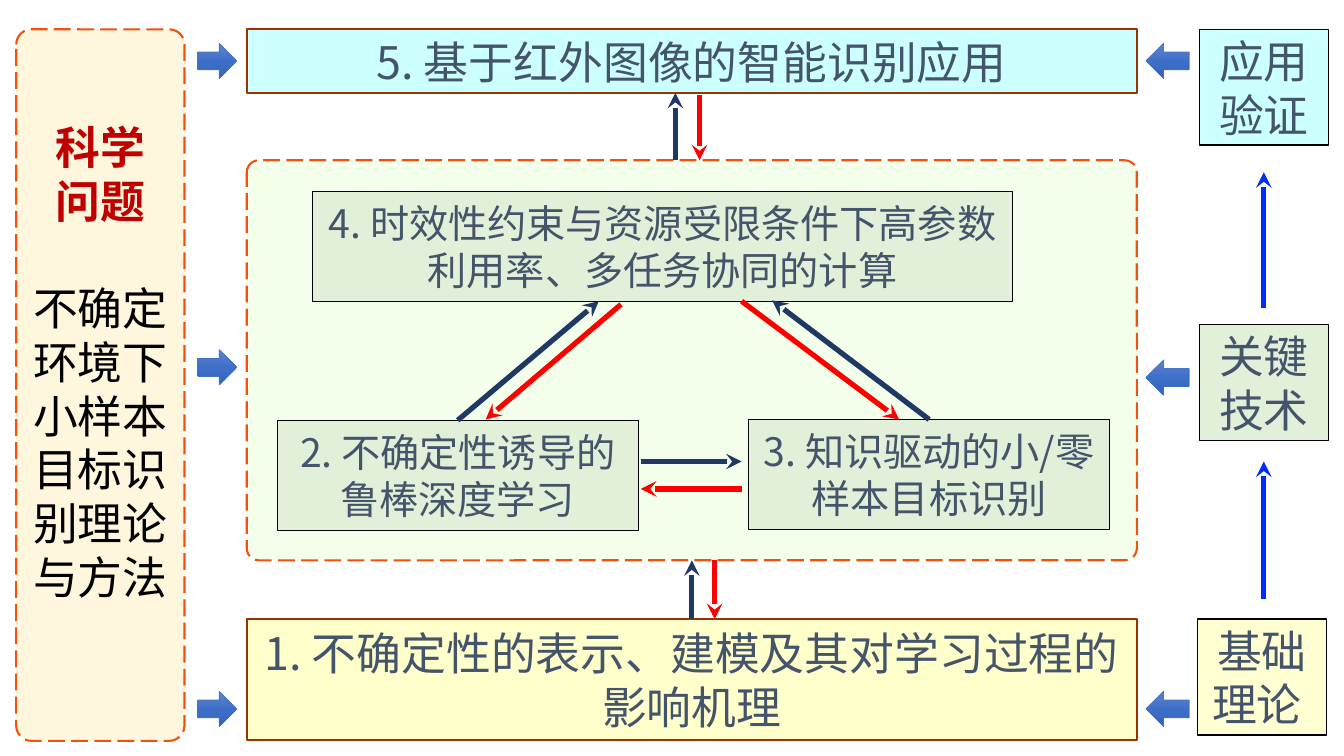
from copy import deepcopy
from dataclasses import dataclass

from lxml.etree import SubElement
from pptx import Presentation
from pptx.dml.color import RGBColor
from pptx.enum.dml import MSO_LINE
from pptx.enum.shapes import MSO_CONNECTOR, MSO_SHAPE
from pptx.enum.text import MSO_ANCHOR, PP_ALIGN
from pptx.oxml.ns import qn
from pptx.util import Cm, Pt


@dataclass(frozen=True)
class Theme:
    font: str = "Noto Sans CJK SC"
    large: int = 32
    medium: int = 28
    text: str = "44546A"
    heading: str = "C00000"
    black: str = "000000"
    brown: str = "993300"
    orange: str = "F1500F"
    cream: str = "FFF7DD"
    mint: str = "F4FFEB"
    green: str = "E2F0D9"
    cyan: str = "CCFFFF"
    yellow: str = "FFFFCC"
    pale_yellow: str = "FFFFD1"
    navy: str = "203864"
    red: str = "FF0000"
    blue: str = "002BFF"
    block_line: str = "4472C4"
    block_stops: tuple = ("6183CB", "3E70CA", "3062BB")


theme = Theme()
deck = Presentation()
deck.slide_width, deck.slide_height = Cm(33.87), Cm(19.05)
page = deck.slides.add_slide(deck.slide_layouts[6])


def add_box(place, fill, line, width, lines=(), size=theme.large, color=theme.text,
            kind=MSO_SHAPE.RECTANGLE, inset=0.25):
    """Add a filled box; each entry of lines becomes a centred paragraph."""
    box = page.shapes.add_shape(kind, *map(Cm, place))
    box.shadow.inherit = False
    box.fill.solid()
    box.fill.fore_color.rgb = RGBColor.from_string(fill)
    box.line.color.rgb = RGBColor.from_string(line)
    box.line.width = Pt(width)
    frame = box.text_frame
    frame.word_wrap = True
    frame.vertical_anchor = MSO_ANCHOR.MIDDLE
    frame.margin_left = frame.margin_right = Cm(inset)
    frame.margin_top = frame.margin_bottom = Cm(0.13)
    for number, line_text in enumerate(lines):
        para = frame.paragraphs[0] if number == 0 else frame.add_paragraph()
        para.text = line_text
        para.alignment = PP_ALIGN.CENTER
        para.font.name = theme.font
        para.font.size = Pt(size)
        para.font.color.rgb = RGBColor.from_string(color)
        properties = para._p.pPr.find(qn("a:defRPr"))
        SubElement(properties, qn("a:ea"), typeface=theme.font)
    return box


def add_arrow(start, end, color):
    arrow = page.shapes.add_connector(MSO_CONNECTOR.STRAIGHT, *map(Cm, start + end))
    arrow.line.color.rgb = RGBColor.from_string(color)
    arrow.line.width = Pt(3.75)
    SubElement(arrow.line._get_or_add_ln(), qn("a:tailEnd"), type="stealth")
    SubElement(arrow._element.spPr, qn("a:effectLst"))
    return arrow


# Dashed panels: technology stage and scientific problem
stage = add_box((6.22, 4.04, 22.43, 10.08), theme.mint, theme.orange, 1.5,
                kind=MSO_SHAPE.ROUNDED_RECTANGLE)
problem = add_box((0.41, 0.74, 4.24, 17.93), theme.cream, theme.orange, 1.5,
                  ("科学", "问题", "不确定环境下小样本目标识别理论与方法"),
                  color=theme.black, kind=MSO_SHAPE.ROUNDED_RECTANGLE)
for panel, rounding in ((stage, 0.03), (problem, 0.09)):
    panel.adjustments[0] = rounding
    panel.line.dash_style = MSO_LINE.LONG_DASH
problem.text_frame.margin_bottom = Cm(1.32)
*heading, statement = problem.text_frame.paragraphs
for para in heading:
    para.font.bold = True
    para.font.color.rgb = RGBColor.from_string(theme.heading)
statement.space_before = Pt(38.4)

# Full-width bands and the three technology boxes
foundation = add_box((6.22, 15.6, 22.43, 3.05), theme.yellow, theme.brown, 1.5,
                     ("1. 不确定性的表示、建模及其对学习过程的影响机理",))
add_box((6.22, 0.74, 22.43, 1.6), theme.cyan, theme.brown, 1.5,
        ("5. 基于红外图像的智能识别应用",))
technologies = []
for place, caption in (
    ((6.99, 10.59, 9.09, 2.77), "2. 不确定性诱导的鲁棒深度学习"),
    ((18.87, 10.57, 9.09, 2.77), "3. 知识驱动的小/零样本目标识别"),
    ((7.87, 4.83, 17.65, 2.77), "4. 时效性约束与资源受限条件下高参数利用率、多任务协同的计算"),
):
    technologies.append(add_box(place, theme.green, theme.black, 0.5, (caption,),
                                theme.medium, inset=0.13))
robust_learning, recognition, computing = technologies

# Level labels on the right
for left, top, fill, caption in (
    (30.23, 0.74, theme.cyan, "应用验证"),
    (30.23, 8.18, theme.green, "关键技术"),
    (30.18, 15.6, theme.pale_yellow, "基础理论 "),
):
    add_box((left, top, 3.25, 2.92), fill, theme.black, 1, (caption,))

# Gradient block arrows pointing at the middle column
for kind, left, width, tops in (
    (MSO_SHAPE.RIGHT_ARROW, 4.98, 0.99, (1.09, 8.81, 17.42)),
    (MSO_SHAPE.LEFT_ARROW, 28.88, 1.09, (1.09, 9.07, 17.42)),
):
    for top in tops:
        block = add_box((left, top, width, 0.89), theme.block_line, theme.block_line,
                        0.5, kind=kind)
        block.fill.gradient()
        block.fill.gradient_angle = 270
        first_stop = block._element.spPr.find(".//" + qn("a:gs"))
        first_stop.addnext(deepcopy(first_stop))
        for stop, position, color in zip(block.fill.gradient_stops, (0, 0.5, 1),
                                         theme.block_stops):
            stop.position = position
            stop.color.rgb = RGBColor.from_string(color)

# Upward arrows between the level labels
for start, end in ((7.77, 4.34), (15.09, 11.63)):
    add_arrow((31.85, start), (31.85, end), theme.blue)

# Navy arrows lead forward, red arrows feed back
for start, end, color in (
    ((17.02, 4.04), (17.02, 2.34), theme.navy),
    ((17.63, 2.39), (17.63, 4.04), theme.red),
    ((18.01, 14.12), (18.01, 15.6), theme.red),
    ((16.15, 11.63), (18.69, 11.63), theme.navy),
    ((18.69, 12.32), (16.15, 12.32), theme.red),
    ((15.65, 7.67), (12.24, 10.57), theme.red),
    ((18.69, 7.59), (22.66, 10.57), theme.red),
):
    add_arrow(start, end, color)
for source, start, end in (
    (foundation, (17.43, 15.6), (17.43, 14.12)),
    (robust_learning, (11.53, 10.59), (15.09, 7.59)),
    (recognition, (23.42, 10.57), (19.46, 7.57)),
):
    arrow = add_arrow(start, end, theme.navy)
    arrow.begin_connect(source, 0)
    if source is foundation:
        arrow.end_connect(stage, 2)

deck.save("out.pptx")
